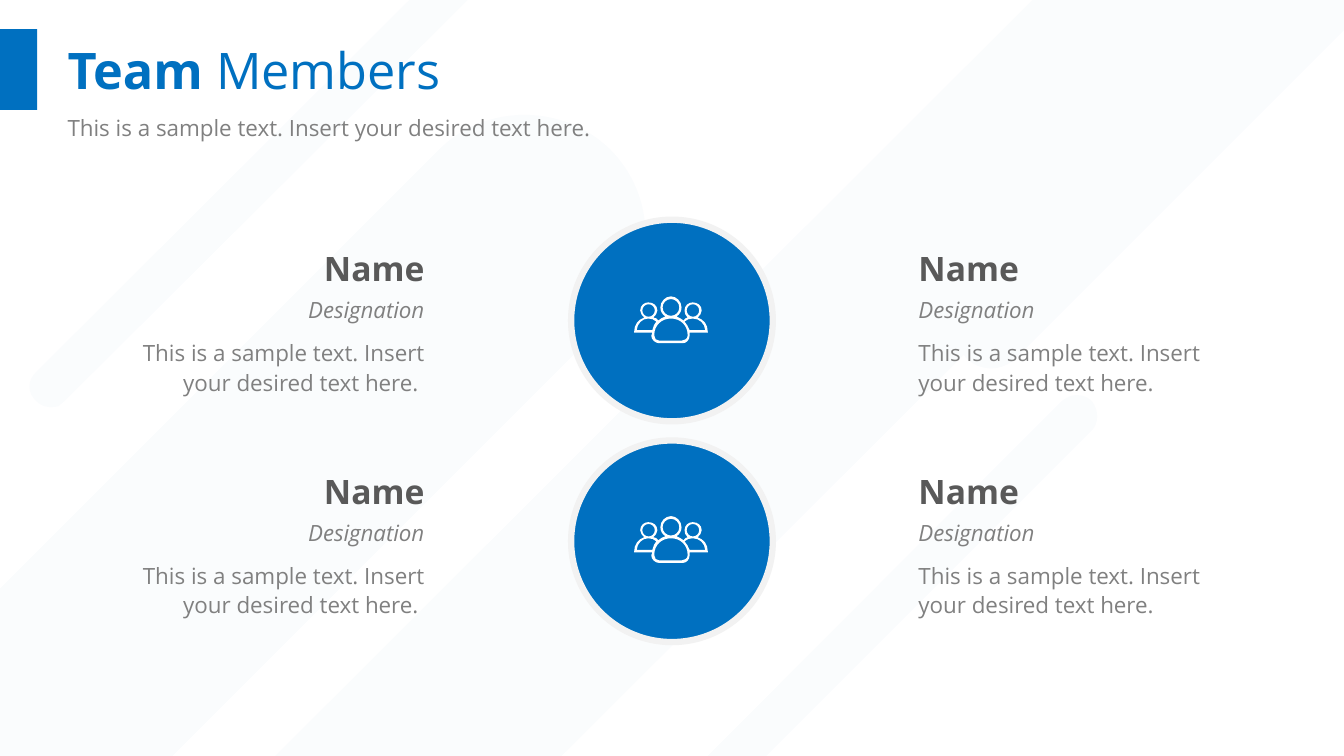
"""Build the team members slide."""
from lxml.etree import SubElement
from pptx import Presentation
from pptx.dml.color import RGBColor
from pptx.enum.shapes import MSO_SHAPE as Shape
from pptx.enum.text import MSO_ANCHOR as Anchor, MSO_AUTO_SIZE as Auto, PP_ALIGN as Align
from pptx.oxml.ns import qn
from pptx.util import Inches, Pt

WIDE, HIGH = 13.33, 7.5
FONT = "Open Sans"
BLUE, WHITE, PALE, GREY, DARK = "0070C0", "FFFFFF", "F2F2F2", "808080", "595959"
TITLE = [("Team ", True), ("Members", False)]
LEAD = "This is a sample text. Insert your desired text here."
SIDES = [
    (9.11, 3.07, Align.LEFT, LEAD),
    (1.07, 3.14, Align.RIGHT, LEAD + " "),
]
ROWS = [
    {"disc": 2.18, "icon": 2.94, "text": 2.37},
    {"disc": 4.37, "icon": 5.12, "text": 4.58},
]
LINES = [
    (0, 0.54, "Name", 24, DARK, True, False),
    (0.49, 0.38, "Designation", 16, GREY, False, True),
    (0.92, 0.68, None, 16, GREY, False, False),
]

# Each step is a line end (x, y) or a curve (x1, y1, x2, y2, x, y).
BANDS = [
    [(10.68, 3.92), (10.74, 3.92, 10.79, 3.94, 10.83, 3.98),
     (10.9, 4.07, 10.9, 4.2, 10.83, 4.27), (7.6, 7.5), (7.02, 7.5),
     (10.53, 3.98), (10.58, 3.94, 10.63, 3.92, 10.68, 3.92)],
    [(5.2, 1.14), (5.51, 1.14, 5.81, 1.25, 6.05, 1.48),
     (6.52, 1.95, 6.52, 2.7, 6.05, 3.16), (1.71, 7.5), (0, 7.5), (0, 5.84),
     (4.36, 1.48), (4.59, 1.25, 4.9, 1.14, 5.2, 1.14)],
    [(4.06, 0), (4.64, 0), (0.64, 3.98), (0.58, 4.03),
     (0.5, 4.05, 0.42, 4.04, 0.36, 3.98), (0.27, 3.9, 0.27, 3.77, 0.36, 3.69)],
    [(10.24, 0), (13.33, 0), (13.33, 0.3), (10.08, 3.55),
     (9.94, 3.69, 9.72, 3.69, 9.58, 3.55), (9.56, 3.52), (5.57, 7.5), (2.73, 7.5)],
]
CROWD = [
    [(63, 21), (65, 19, 67, 17, 67, 14), (67, 9, 63, 6, 58, 6), (54, 6, 50, 9, 50, 14),
     (50, 17, 51, 19, 53, 21), (52, 21, 50, 22, 49, 24), (47, 22, 44, 21, 42, 20),
     (45, 18, 47, 15, 47, 11), (47, 5, 42, 0, 36.5, 0), (31, 0, 26, 5, 26, 11),
     (26, 15, 28, 18, 31, 20), (28, 21, 26, 22, 24, 24), (23, 22, 21, 21, 19, 21),
     (21, 19, 23, 17, 23, 14), (23, 9, 19, 6, 14, 6), (10, 6, 6, 9, 6, 14),
     (6, 17, 8, 19, 10, 21), (4, 23, 0, 28, 0, 35), (0, 36), (18, 36), (17, 39),
     (17, 43, 21, 46.5, 25, 46.5), (48, 46.5), (52, 46.5, 55, 43, 55, 39),
     (55, 36), (73, 36), (73, 35), (73, 28, 69, 23, 63, 21)],
    [(18, 33.5), (2.5, 33.5), (3, 27, 8, 22, 14, 22), (17, 22, 20, 23, 22, 25),
     (20, 27, 19, 30, 18, 33.5)],
    [(53, 39), (53, 42, 50, 44, 47, 44), (25, 44), (22, 44, 20, 42, 20, 39),
     (20, 38), (20, 29, 27, 22, 36.5, 22), (46, 22, 53, 29, 53, 38)],
    [(55, 33.5), (54, 30, 52, 28, 50, 25), (52, 23, 55, 22, 58, 22),
     (65, 22, 70, 27, 70.5, 33.5)],
]
HEADS = [(14.3, 14, 6.2), (36.5, 11, 8.3), (58.3, 14, 6.2)]


def tint(code):
    return RGBColor.from_string(code)


def ring(x, y, r):
    steps = [(x + r, y)]
    for a, b in ((1, 0), (0, 1), (-1, 0), (0, -1)):
        c, d = -b, a
        steps.append((x + r * (a + 0.55 * c), y + r * (b + 0.55 * d),
                      x + r * (c + 0.55 * a), y + r * (d + 0.55 * b),
                      x + r * c, y + r * d))
    return steps


def paint(shape, fill, edge=None):
    shape.shadow.inherit = False
    shape.fill.solid()
    shape.fill.fore_color.rgb = tint(fill)
    if edge:
        shape.line.color.rgb = tint(edge)
        shape.line.width = Pt(4.5)
    else:
        shape.line.fill.background()
    return shape


def bend(shape, loops):
    track = next(shape.element.iter(qn("a:path")))
    lines = iter(track.findall(qn("a:lnTo")))
    for loop in loops:
        for step in loop[1:]:
            curve = next(lines)
            if len(step) == 6:
                curve.tag = qn("a:cubicBezTo")
                for _ in range(2):
                    line = next(lines)
                    curve.append(line[0])
                    track.remove(line)


def draw(shapes, loops, fill, unit=1, left=0, top=0):
    pen = None
    for loop in loops:
        spots = [(Inches(step[n] * unit), Inches(step[n + 1] * unit))
                 for step in loop for n in range(0, len(step), 2)]
        if pen:
            pen.move_to(*spots[0])
        else:
            pen = shapes.build_freeform(*spots[0])
        pen.add_line_segments(spots[1:])
    shape = pen.convert_to_shape(Inches(left), Inches(top))
    bend(shape, loops)
    return paint(shape, fill)


def place(shape, left, top, width, height):
    shape.left, shape.top = Inches(left), Inches(top)
    shape.width, shape.height = Inches(width), Inches(height)


def frame(shape, pad):
    box = shape.text_frame
    box.word_wrap = True
    box.auto_size = Auto.NONE
    box.margin_left = box.margin_right = 0
    box.margin_top = box.margin_bottom = Inches(pad)
    return box


def write(para, text, size, code, bold=False, slant=False):
    run = para.add_run()
    run.text = text
    font = run.font
    font.name, font.size, font.bold, font.italic = FONT, Pt(size), bold, slant
    font.color.rgb = tint(code)


def label(shapes, area, pad=0.05):
    box = shapes.add_textbox(*map(Inches, area))
    return frame(box, pad).paragraphs[0]


def main():
    deck = Presentation()
    deck.slide_width, deck.slide_height = Inches(WIDE), Inches(HIGH)
    slide = deck.slides.add_slide(deck.slide_layouts[5])
    shapes = slide.shapes
    title = shapes.title

    bands = draw(shapes, BANDS, BLUE)
    shade = bands.element.spPr.find(qn("a:solidFill"))[0]
    SubElement(shade, qn("a:alpha")).set("val", "2000")
    paint(shapes.add_shape(Shape.RECTANGLE, 0, Inches(0.29), Inches(0.37), Inches(0.8)), BLUE)

    shapes.element.append(title.element)
    place(title, 0.67, 0.3, 12, 0.78)
    box = frame(title, 0.07)
    box.vertical_anchor = Anchor.MIDDLE
    box.paragraphs[0].alignment = Align.LEFT
    for text, bold in TITLE:
        write(box.paragraphs[0], text, 36, BLUE, bold)
    write(label(shapes, (0.67, 1.06, 12, 0.45), 0.07), LEAD, 16, GREY)

    crowd = CROWD + [ring(*head) for head in HEADS]
    for row in ROWS:
        disc = map(Inches, ((WIDE - 2) / 2, row["disc"], 2, 2))
        paint(shapes.add_shape(Shape.OVAL, *disc), BLUE, PALE)
        draw(shapes, crowd, WHITE, 0.01, 6.29, row["icon"])
        for left, width, align, note in SIDES:
            for drop, height, text, size, code, bold, slant in LINES:
                para = label(shapes, (left, row["text"] + drop, width, height))
                para.alignment, para.line_spacing = align, 1.1
                write(para, text or note, size, code, bold, slant)

    deck.save("out.pptx")


if __name__ == "__main__":
    main()
